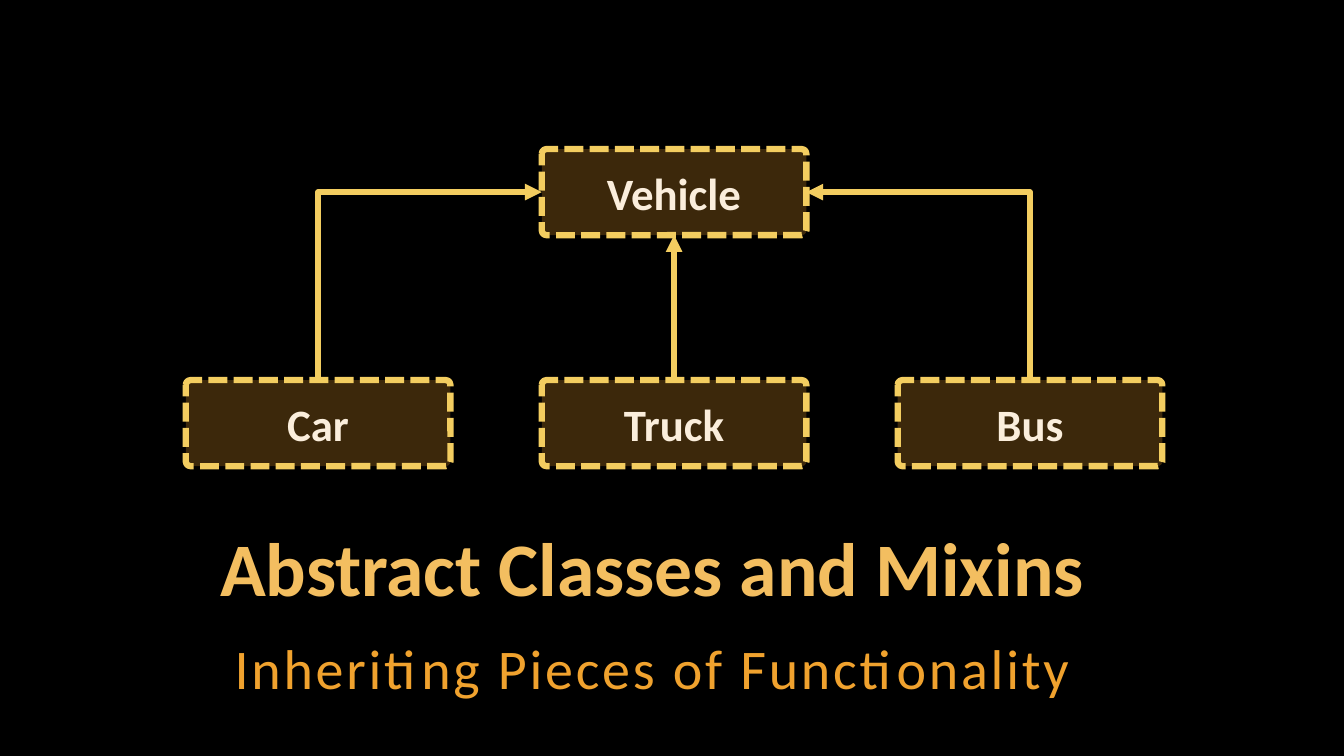
from dataclasses import dataclass

from lxml import etree
from pptx import Presentation
from pptx import util as u
from pptx.dml.color import RGBColor
from pptx.enum import dml, shapes, text
from pptx.oxml.ns import qn

PX = 9525  # EMU per px, 96 px to the inch
FONT = "Calibri"
AMBER, GOLD, CREAM = "F0A22E", "F3CD60", "FBEEDC"
BOX_W, BOX_H = 252, 82
LEFT, STEP = 177, 339
PARENT_Y, CHILD_Y = 142, 362


@dataclass
class Box:
    name: str
    col: int
    y: int

    @property
    def x(self) -> int:
        return LEFT + self.col * STEP

    @property
    def cx(self) -> int:
        return self.x + BOX_W // 2


@dataclass
class Heading:
    words: str
    y: int
    h: int
    size: int
    color: str
    leading: float
    anchor: text.MSO_ANCHOR
    bold: bool = False
    tracking: int = 0  # hundredths of a point


def px(n: float) -> u.Emu:
    return u.Emu(int(n * PX))


def rgb(value: str) -> RGBColor:
    return RGBColor.from_string(value)


def add_run(p, words: str, size: int, color: str, bold: bool):
    r = p.add_run()
    r.text = words
    r.font.name, r.font.size, r.font.bold = FONT, u.Pt(size), bold
    r.font.color.rgb = rgb(color)
    return r


def draw_box(s, box: Box) -> None:
    sp = s.shapes.add_shape(shapes.MSO_SHAPE.ROUNDED_RECTANGLE,
                            px(box.x), px(box.y), px(BOX_W), px(BOX_H))
    sp.adjustments[0] = 0.054
    sp.shadow.inherit = False
    sp.fill.solid()
    sp.fill.fore_color.rgb = rgb(AMBER)
    fill = sp._element.spPr.find(qn("a:solidFill"))
    etree.SubElement(fill[0], qn("a:alpha"), val="25000")
    sp.line.color.rgb = rgb(GOLD)
    sp.line.width = u.Pt(4.5)
    sp.line.dash_style = dml.MSO_LINE.SQUARE_DOT
    tf = sp.text_frame
    tf.vertical_anchor = text.MSO_ANCHOR.MIDDLE
    p = tf.paragraphs[0]
    p.alignment = text.PP_ALIGN.CENTER
    add_run(p, box.name, 32, CREAM, True)


def draw_arrow(s, child: Box, parent: Box) -> None:
    side = (parent.col > child.col) - (parent.col < child.col)
    if side == 0:
        c = s.shapes.add_connector(shapes.MSO_CONNECTOR.STRAIGHT,
                                   px(child.cx), px(child.y),
                                   px(parent.cx), px(parent.y + BOX_H))
    else:
        # One-corner elbow: laid out sideways, then turned upright
        end_x = parent.x if side > 0 else parent.x + BOX_W
        end_y = parent.y + BOX_H // 2
        mid_x, mid_y = (child.cx + end_x) / 2, (child.y + end_y) / 2
        run, rise = abs(end_x - child.cx) / 2, (child.y - end_y) / 2
        c = s.shapes.add_connector(shapes.MSO_CONNECTOR.ELBOW,
                                   px(mid_x + side * rise), px(mid_y + run),
                                   px(mid_x - side * rise), px(mid_y - run))
        spPr = c._element.spPr
        spPr.find(qn("a:prstGeom")).set("prst", "bentConnector2")
        spPr.find(qn("a:xfrm")).set("rot", str(side * 90 % 360 * 60000))
    c.line.color.rgb = rgb(GOLD)
    c.line.width = u.Pt(4)
    etree.SubElement(c.line._get_or_add_ln(), qn("a:tailEnd"), type="triangle")
    etree.SubElement(c._element.spPr, qn("a:effectLst"))


def draw_heading(s, head: Heading) -> None:
    tf = s.shapes.add_textbox(px(152), px(head.y), px(939), px(head.h)).text_frame
    tf.word_wrap = True
    tf.vertical_anchor = head.anchor
    tf.margin_left = tf.margin_right = tf.margin_top = tf.margin_bottom = px(4)
    p = tf.paragraphs[0]
    p.alignment = text.PP_ALIGN.CENTER
    p.line_spacing = head.leading
    r = add_run(p, head.words, head.size, head.color, head.bold)
    if head.tracking:
        r.font._element.set("spc", str(head.tracking))


def main() -> None:
    prs = Presentation()
    prs.slide_width, prs.slide_height = px(1280), px(720)
    s = prs.slides.add_slide(prs.slide_layouts[6])
    s.background.fill.solid()
    s.background.fill.fore_color.rgb = rgb("000000")

    # Title and subtitle
    for head in (
        Heading("Abstract Classes and Mixins", 502, 86, 54, "F3BE60", 0.9,
                text.MSO_ANCHOR.BOTTOM, bold=True),
        Heading("Inheriting Pieces of Functionality", 596, 72, 40, AMBER, 1.05,
                text.MSO_ANCHOR.TOP, tracking=200),
    ):
        draw_heading(s, head)

    # Class diagram
    vehicle = Box("Vehicle", 1, PARENT_Y)
    children = [Box(name, col, CHILD_Y)
                for col, name in enumerate(("Car", "Truck", "Bus"))]
    for box in (vehicle, *children):
        draw_box(s, box)
    for child in children:
        draw_arrow(s, child, vehicle)

    prs.save("out.pptx")


if __name__ == "__main__":
    main()
